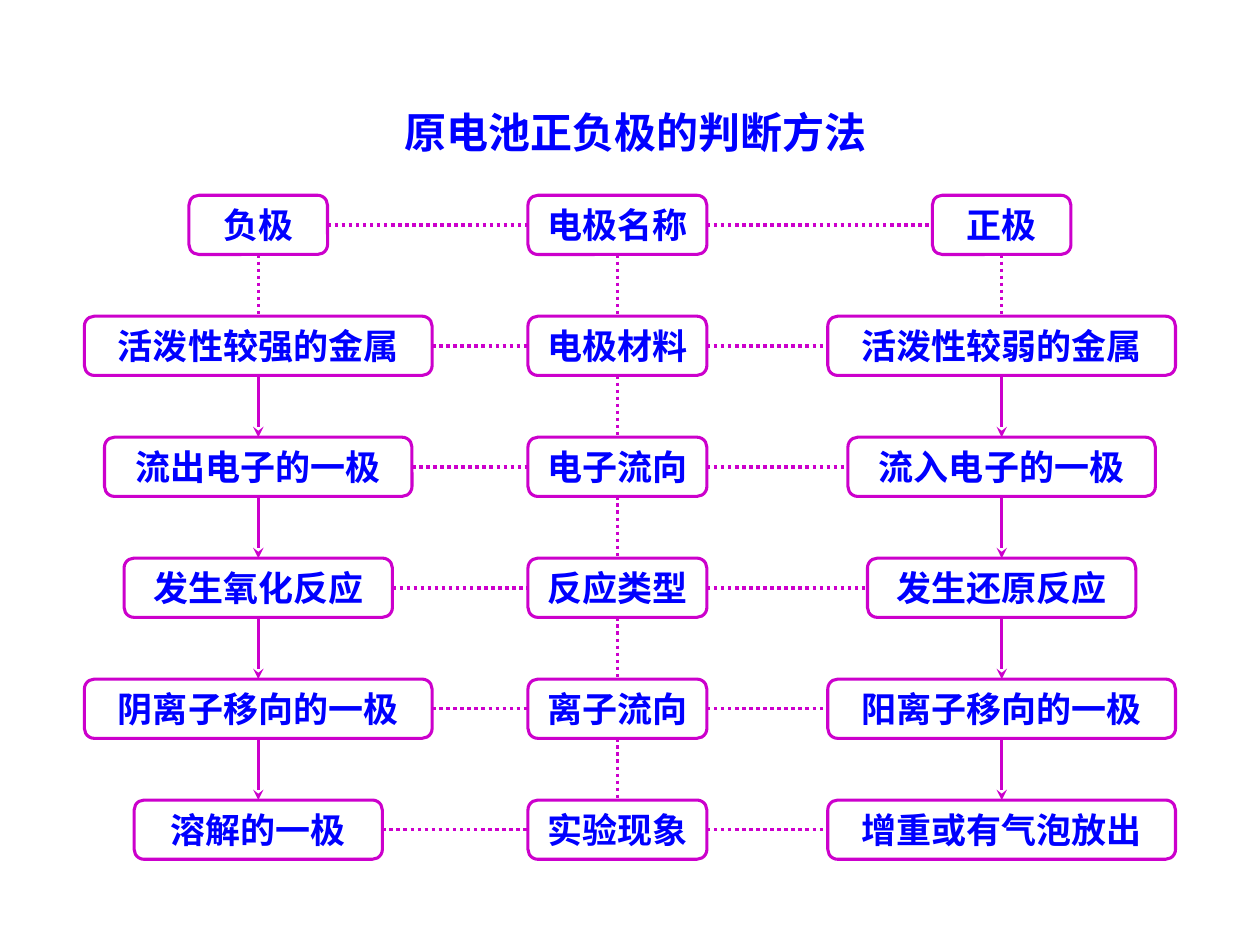
from lxml.etree import SubElement
from pptx import Presentation
from pptx.dml.color import RGBColor
from pptx.enum.dml import MSO_LINE
from pptx.enum.shapes import MSO_CONNECTOR, MSO_SHAPE
from pptx.enum.text import MSO_ANCHOR, MSO_AUTO_SIZE, PP_ALIGN
from pptx.oxml.ns import qn
from pptx.util import Inches, Pt

COLORS = {"text": "0000FF", "line": "CC00CC"}
SLIDE_WIDTH, SLIDE_HEIGHT = Inches(10), Inches(7.5)
TOP, LEFT, BOTTOM, RIGHT = range(4)
COLUMN_CENTERS = (0.205, 0.49, 0.795)
WIDTH_BY_LENGTH = {2: 0.11, 4: 0.142, 5: 0.197, 6: 0.213, 7: 0.244, 8: 0.276}
BOX_HEIGHT = 0.47
ROW_PITCH = 0.96

TITLE = "原电池正负极的判断方法"
CRITERIA = (
    ("负极", "电极名称", "正极"),
    ("活泼性较强的金属", "电极材料", "活泼性较弱的金属"),
    ("流出电子的一极", "电子流向", "流入电子的一极"),
    ("发生氧化反应", "反应类型", "发生还原反应"),
    ("阴离子移向的一极", "离子流向", "阳离子移向的一极"),
    ("溶解的一极", "实验现象", "增重或有气泡放出"),
)


def style_text(paragraph, size, font_name):
    """Format the runs of a paragraph in the bold text colour."""
    for run in paragraph.runs:
        run.font.size = Pt(size)
        run.font.name = font_name
        run.font.bold = True
        run.font.color.rgb = RGBColor.from_string(COLORS["text"])


def add_title(slide, left, top, width, height):
    """Place the heading in the given box."""
    heading = slide.shapes.add_textbox(left, top, width, height)
    frame = heading.text_frame
    frame.word_wrap = True
    frame.auto_size = MSO_AUTO_SIZE.SHAPE_TO_FIT_TEXT
    frame.text = TITLE
    frame.paragraphs[0].line_spacing = 1.5
    style_text(frame.paragraphs[0], 24, "Noto Sans CJK SC")


def add_label(slide, wording, center, top, width, height):
    """Add one rounded label centred on a column and return it."""
    label = slide.shapes.add_shape(
        MSO_SHAPE.ROUNDED_RECTANGLE, int(center - width / 2), top, width, height
    )
    label.adjustments[0] = 0.167
    label.shadow.inherit = False
    label.fill.background()
    label.line.color.rgb = RGBColor.from_string(COLORS["line"])
    label.line.width = Pt(1.75)
    frame = label.text_frame
    frame.word_wrap = False
    frame.vertical_anchor = MSO_ANCHOR.MIDDLE
    frame.text = wording
    frame.paragraphs[0].alignment = PP_ALIGN.CENTER
    style_text(frame.paragraphs[0], 20, "Arial")
    return label


def join(slide, start, start_side, end, end_side, arrow=False):
    """Join two labels with a dotted line or a solid arrow."""
    link = slide.shapes.add_connector(MSO_CONNECTOR.STRAIGHT, 0, 0, 0, 0)
    link.begin_connect(start, start_side)
    link.end_connect(end, end_side)
    link.line.color.rgb = RGBColor.from_string(COLORS["line"])
    link.line.width = Pt(2)
    if arrow:
        SubElement(link.line._get_or_add_ln(), qn("a:tailEnd"), type="stealth")
    else:
        link.line.dash_style = MSO_LINE.ROUND_DOT
    SubElement(link._element.spPr, qn("a:effectLst"))


def add_comparison(slide, left, top, width):
    """Place the grid of labels and its links in the given region."""
    rows = [
        [
            add_label(
                slide,
                wording,
                left + width * center,
                top + Inches(ROW_PITCH * index),
                int(width * WIDTH_BY_LENGTH[len(wording)]),
                Inches(BOX_HEIGHT),
            )
            for wording, center in zip(criterion, COLUMN_CENTERS)
        ]
        for index, criterion in enumerate(CRITERIA)
    ]
    for row in rows:
        for start, end in zip(row, row[1:]):
            join(slide, start, RIGHT, end, LEFT)
    for index, (upper_row, lower_row) in enumerate(zip(rows, rows[1:])):
        for column, (upper, lower) in enumerate(zip(upper_row, lower_row)):
            join(slide, upper, BOTTOM, lower, TOP, arrow=index > 0 and column != 1)


def main():
    """Build and save the slide."""
    deck = Presentation()
    deck.slide_width, deck.slide_height = SLIDE_WIDTH, SLIDE_HEIGHT
    slide = deck.slides.add_slide(deck.slide_layouts[6])
    add_title(slide, Inches(3.11), Inches(0.6), Inches(3.94), Inches(0.7))
    add_comparison(slide, 0, Inches(1.55), SLIDE_WIDTH)
    deck.save("out.pptx")


if __name__ == "__main__":
    main()
